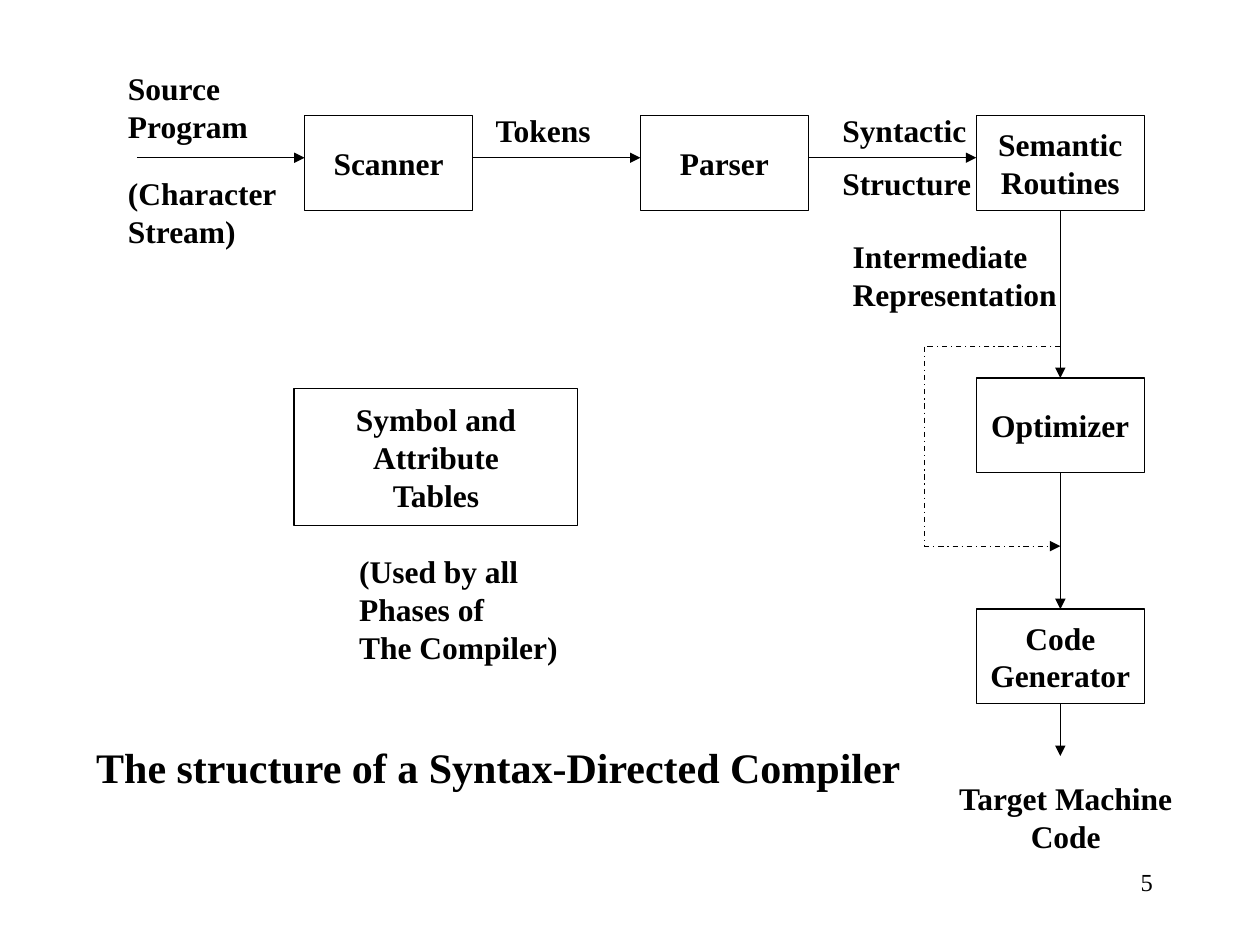
from dataclasses import dataclass
from typing import Optional

from pptx import Presentation
from pptx.dml.color import RGBColor
from pptx.enum import dml, shapes, text
from pptx.oxml import ns
from pptx.util import Cm, Pt
from lxml import etree

COLORS = {"ink": "000000"}
FONT = "Times New Roman"
INK = RGBColor.from_string(COLORS["ink"])
LEFT, CENTER, RIGHT = text.PP_ALIGN.LEFT, text.PP_ALIGN.CENTER, text.PP_ALIGN.RIGHT

BOX_W, BOX_H = 3.39, 1.91
COL_X, COL_STEP = 6.14, 6.77
COLS = [COL_X + i * COL_STEP for i in range(3)]
TOP_Y, OPT_Y, GEN_Y = 2.33, 7.62, 12.28
FLOW_Y = 3.18
MID_X = COLS[2] + BOX_W / 2
BYPASS_X, BYPASS_TOP, BYPASS_END = 18.63, 6.99, 11.01


@dataclass
class Box:
    label: str
    x: float
    y: float
    w: float = BOX_W
    h: float = BOX_H


@dataclass
class Label:
    label: str
    x: float
    y: float
    w: float
    h: float = 1.78
    align: text.PP_ALIGN = LEFT
    size: int = 18
    bold: bool = True
    wrap: bool = False


@dataclass
class Line:
    x1: float
    y1: float
    x2: float
    y2: float
    above: Optional[str] = None
    below: Optional[str] = None
    dashed: bool = False
    head: bool = True


BOXES = [
    Box("Scanner", COLS[0], TOP_Y),
    Box("Parser", COLS[1], TOP_Y),
    Box("Semantic\nRoutines", COLS[2], TOP_Y),
    Box("Code\nGenerator", COLS[2], GEN_Y),
    Box("Optimizer", COLS[2], OPT_Y),
    Box("Symbol and\nAttribute\nTables", 5.93, 7.83, 5.72, 2.76),
]

LINES = [
    *(Line(x - COL_STEP + BOX_W, FLOW_Y, x, FLOW_Y) for x in COLS),
    Line(MID_X, TOP_Y + BOX_H, MID_X, OPT_Y, "Semantic\nRoutines", "Optimizer"),
    Line(MID_X, OPT_Y + BOX_H, MID_X, GEN_Y, "Optimizer", "Code\nGenerator"),
    Line(MID_X, GEN_Y + BOX_H, MID_X, 15.24, "Code\nGenerator"),
    Line(MID_X, BYPASS_TOP, BYPASS_X, BYPASS_TOP, dashed=True, head=False),
    Line(BYPASS_X, BYPASS_TOP, BYPASS_X, BYPASS_END, dashed=True, head=False),
    Line(BYPASS_X, BYPASS_END, MID_X, BYPASS_END, dashed=True),
]

LABELS = [
    Label("Source\nProgram", 2.33, 1.27, 2.98),
    Label("(Character\nStream)", 2.33, 3.39, 3.55),
    Label("Tokens", 9.74, 2.12, 2.52, 1.02),
    Label("Syntactic", 16.73, 2.12, 3.06, 1.02),
    Label("Structure", 16.73, 3.18, 3.16, 1.02),
    Label("Intermediate\nRepresentation", 16.94, 4.66, 4.66),
    Label("Target Machine\nCode", 19.05, 15.58, 4.87, align=CENTER),
    Label("(Used by all\nPhases of\nThe Compiler)", 6.99, 11.01, 4.56, 2.54),
    Label("The structure of a Syntax-Directed Compiler", 1.69, 14.82, 16.78, 1.27, size=24),
    Label("5", 18.2, 17.36, 5.29, 1.27, RIGHT, 14, False, True),
]


def set_text(sp, label: str, align: text.PP_ALIGN, size: int = 18,
             bold: bool = True, wrap: bool = False) -> None:
    tf = sp.text_frame
    tf.text = label
    tf.word_wrap = wrap
    for p in tf.paragraphs:
        p.alignment = align
        for r in p.runs:
            r.font.name, r.font.size, r.font.bold = FONT, Pt(size), bold
            r.font.color.rgb = INK


def draw_box(s, box: Box):
    sp = s.shapes.add_shape(shapes.MSO_SHAPE.RECTANGLE,
                            Cm(box.x), Cm(box.y), Cm(box.w), Cm(box.h))
    sp.shadow.inherit = False
    sp.fill.background()
    sp.line.color.rgb = INK
    sp.line.width = Pt(0.75)
    set_text(sp, box.label, CENTER)
    sp.text_frame.vertical_anchor = text.MSO_ANCHOR.MIDDLE
    return sp


def draw_label(s, label: Label) -> None:
    sp = s.shapes.add_textbox(Cm(label.x), Cm(label.y), Cm(label.w), Cm(label.h))
    set_text(sp, label.label, label.align, label.size, label.bold, label.wrap)
    if not label.wrap:
        sp.text_frame.auto_size = text.MSO_AUTO_SIZE.SHAPE_TO_FIT_TEXT


def draw_line(s, line: Line, boxes: dict) -> None:
    cxn = s.shapes.add_connector(shapes.MSO_CONNECTOR.STRAIGHT, Cm(line.x1),
                                 Cm(line.y1), Cm(line.x2), Cm(line.y2))
    if line.above:
        cxn.begin_connect(boxes[line.above], 2)
    if line.below:
        cxn.end_connect(boxes[line.below], 0)
    cxn.line.color.rgb = INK
    cxn.line.width = Pt(0.75)
    if line.dashed:
        cxn.line.dash_style = dml.MSO_LINE.DASH_DOT
    if line.head:
        ln = cxn._element.spPr.find(ns.qn("a:ln"))
        etree.SubElement(ln, ns.qn("a:tailEnd"), type="triangle")
    etree.SubElement(cxn._element.spPr, ns.qn("a:effectLst"))


def main() -> None:
    prs = Presentation()
    prs.slide_width, prs.slide_height = Cm(25.4), Cm(19.05)
    s = prs.slides.add_slide(prs.slide_layouts[6])
    boxes = {box.label: draw_box(s, box) for box in BOXES}
    for line in LINES:
        draw_line(s, line, boxes)
    for label in LABELS:
        draw_label(s, label)
    prs.save("out.pptx")


if __name__ == "__main__":
    main()
